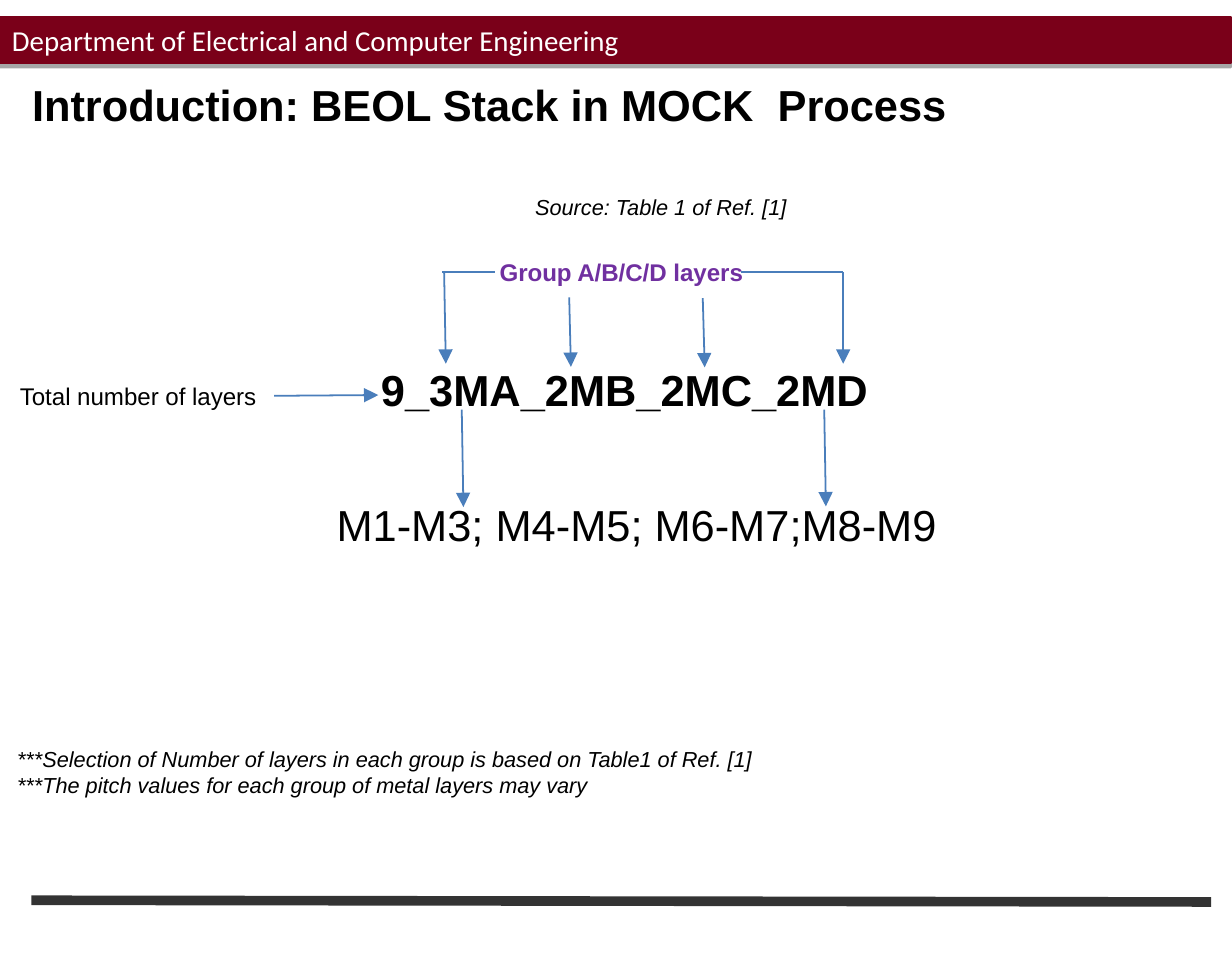
from lxml.etree import SubElement
from pptx import Presentation
from pptx.dml.color import RGBColor
from pptx.enum.shapes import MSO_CONNECTOR, MSO_SHAPE
from pptx.enum.text import MSO_ANCHOR, PP_ALIGN
from pptx.oxml.ns import qn
from pptx.util import Pt

COLORS = {
    "maroon": "7A0019",
    "white": "FFFFFF",
    "black": "000000",
    "purple": "7030A0",
    "blue": "4A7EBB",
    "rule": "333333",
}


def rgb(name):
    return RGBColor.from_string(COLORS[name])


class SlideBuilder:
    """Holds the text style and the current slide; lengths are in points."""

    font = "Arial"

    def __init__(self, slide):
        self.s = slide

    def add_lines(self, tf, lines, size, color="black", font=None, bold=False, italic=False):
        for i, line in enumerate(lines):
            p = tf.add_paragraph() if i else tf.paragraphs[0]
            p.alignment = PP_ALIGN.LEFT
            r = p.add_run()
            r.text = line
            r.font.name = font or self.font
            r.font.size = Pt(size)
            r.font.bold = bold
            r.font.italic = italic
            r.font.color.rgb = rgb(color)

    def text(self, x, y, w, h, lines, size, wrap=True, **style):
        box = self.s.shapes.add_textbox(Pt(x), Pt(y), Pt(w), Pt(h))
        box.text_frame.word_wrap = wrap
        self.add_lines(box.text_frame, lines, size, **style)
        return box

    def banner(self, x, y, w, h, label):
        sp = self.s.shapes.add_shape(MSO_SHAPE.RECTANGLE, Pt(x), Pt(y), Pt(w), Pt(h))
        sp.fill.solid()
        sp.fill.fore_color.rgb = rgb("maroon")
        sp.line.color.rgb = rgb("maroon")
        sp.line.width = Pt(0.75)
        # Soft grey shadow straight below the bar
        sp.shadow.inherit = False
        effects = sp._element.spPr.find(qn("a:effectLst"))
        shadow = SubElement(effects, qn("a:outerShdw"), blurRad="0",
                            dist=str(int(Pt(1.8))), dir="5400000", rotWithShape="0")
        shade = SubElement(shadow, qn("a:srgbClr"), val=COLORS["black"])
        SubElement(shade, qn("a:alpha"), val="35000")
        tf = sp.text_frame
        tf.word_wrap = True
        tf.vertical_anchor = MSO_ANCHOR.BOTTOM
        tf.margin_left = tf.margin_right = Pt(5)
        tf.margin_top = tf.margin_bottom = Pt(2.6)
        self.add_lines(tf, [label], 12, "white", "Calibri")

    def line(self, x1, y1, x2, y2, color="blue", width=0.75, arrow=False):
        c = self.s.shapes.add_connector(
            MSO_CONNECTOR.STRAIGHT, Pt(x1), Pt(y1), Pt(x2), Pt(y2))
        c.line.color.rgb = rgb(color)
        c.line.width = Pt(width)
        if arrow:
            ln = c._element.spPr.find(qn("a:ln"))
            SubElement(ln, qn("a:tailEnd"), type="triangle")
        SubElement(c._element.spPr, qn("a:effectLst"))
        return c


def main():
    prs = Presentation()
    prs.slide_width, prs.slide_height = Pt(511.2), Pt(396)
    b = SlideBuilder(prs.slides.add_slide(prs.slide_layouts[6]))

    # Page frame and title
    b.line(13, 373.7, 502.6, 374.4, color="rule", width=4)
    b.banner(0, 7, 510.8, 19.2, "Department of Electrical and Computer Engineering")
    b.text(6.2, 28.9, 432.7, 29, ["Introduction: BEOL Stack in MOCK  Process"], 18, bold=True)
    b.text(215, 76.8, 177, 18, ["Source: Table 1 of Ref. [1]"], 9, italic=True)

    # Stack name and the metal layers it stands for
    b.text(151, 147, 322, 29, ["9_3MA_2MB_2MC_2MD"], 18, bold=True)
    b.text(132.6, 203.2, 375, 29, ["M1-M3; M4-M5; M6-M7;M8-M9"], 18)
    b.text(200.2, 103.2, 130.3, 19.4, ["Group A/B/C/D layers"], 10, color="purple", bold=True)

    # Layer count pointing at the first digit
    total = b.text(1.2, 154.6, 112.6, 19.4, ["Total number of layers"], 10, wrap=False)
    b.line(113.8, 164.3, 157, 164, arrow=True).begin_connect(total, 3)

    # Bracket on both sides of the group label
    bracket_y = 113
    for x1, x2 in [(183.6, 205.5), (307.5, 316.8), (316.8, 349.9)]:
        b.line(x1, bracket_y, x2, bracket_y)

    # Arrows down to the group names, then down to the layer ranges
    for x1, y1, x2, y2 in [
        (184.3, bracket_y, 185, 151),
        (236.2, 123.5, 236.9, 152.3),
        (291.6, 123.8, 292.4, 152.5),
        (349.9, bracket_y, 349.9, 151),
        (191.6, 170, 192.3, 210.5),
        (342, 170, 342.7, 210.2),
    ]:
        b.line(x1, y1, x2, y2, arrow=True)

    # Footnotes
    b.text(0, 306, 334, 30, [
        "***Selection of Number of layers in each group is based on Table1 of Ref. [1]",
        "***The pitch values for each group of metal layers may vary",
    ], 9, italic=True)

    prs.save("out.pptx")


if __name__ == "__main__":
    main()
